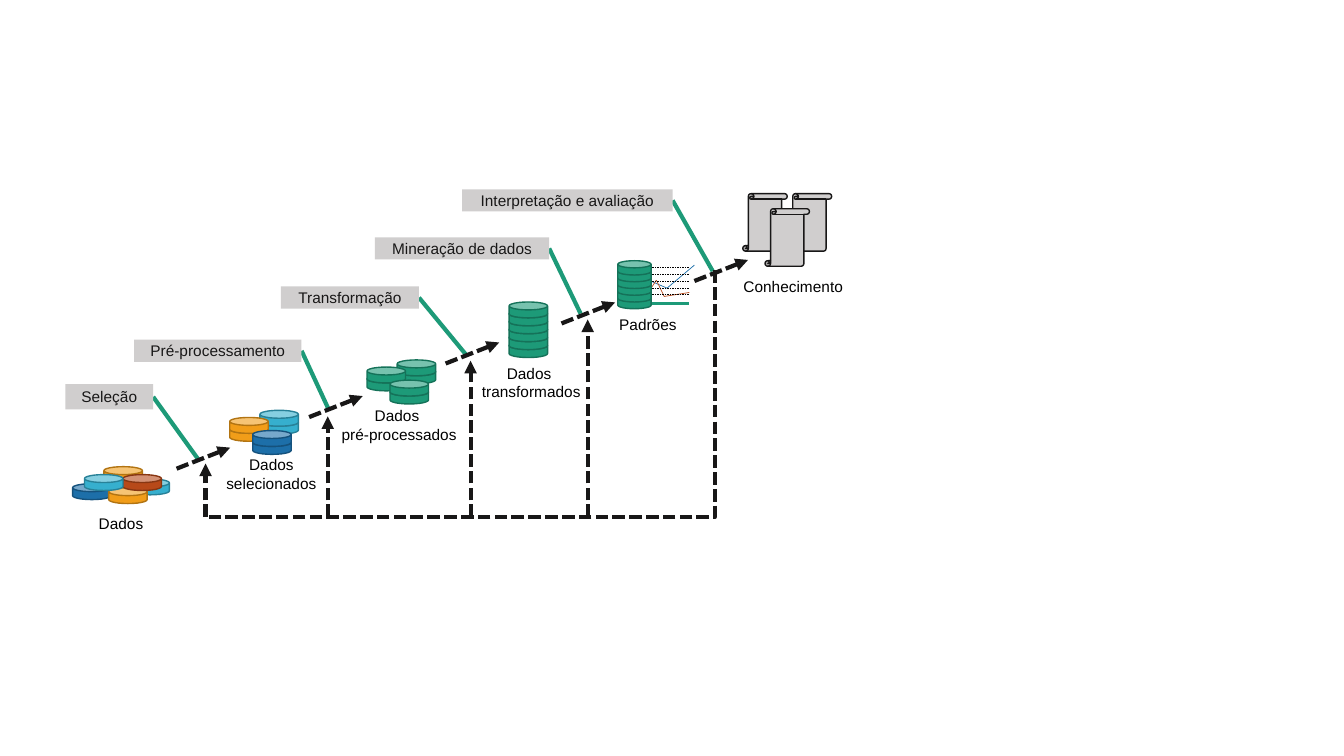
from itertools import pairwise
from typing import NamedTuple

from lxml.etree import SubElement
from pptx import Presentation
from pptx.dml.color import RGBColor
from pptx.enum.dml import MSO_LINE
from pptx.enum.shapes import MSO_CONNECTOR, MSO_SHAPE
from pptx.enum.text import MSO_ANCHOR, PP_ALIGN
from pptx.oxml.ns import qn
from pptx.util import Cm, Pt

INK, GREY, BLACK = "181717", "D0CECE", "000000"
BLUE, CYAN, GOLD, RUST, GREEN = "1D6FA9", "36AFCE", "F19D19", "B74919", "1D9A78"
EDGE = {BLUE: "15527D", CYAN: "288198", GOLD: "B27412", RUST: "873612", GREEN: "157259"}


class Spot(NamedTuple):
    x: float
    y: float


class Stack(NamedTuple):
    x: float
    y: float  # top of the lowest can
    hue: str
    count: int = 1
    w: float = 0.97
    h: float = 0.4
    step: float = 0.2


class Label(NamedTuple):
    text: str
    x: float
    y: float
    w: float
    h: float
    tip: Spot


class Caption(NamedTuple):
    lines: tuple[str, ...]
    x: float
    y: float
    w: float
    h: float


prs = Presentation()
prs.slide_width, prs.slide_height = Cm(33.87), Cm(19.05)
slide = prs.slides.add_slide(prs.slide_layouts[6])
shapes = slide.shapes


def color(code: str) -> RGBColor:
    return RGBColor.from_string(code)


def block(kind, x: float, y: float, w: float, h: float, fill: str, edge: str = ""):
    item = shapes.add_shape(kind, Cm(x), Cm(y), Cm(w), Cm(h))
    item.shadow.inherit = False
    item.fill.solid()
    item.fill.fore_color.rgb = color(fill)
    if edge:
        item.line.color.rgb = color(edge)
        item.line.width = Pt(1)
    else:
        item.line.fill.background()
    return item


def link(start: Spot, end: Spot, hue: str, size: float, dash=None,
         head: bool = False, kind=MSO_CONNECTOR.STRAIGHT):
    item = shapes.add_connector(kind, Cm(start.x), Cm(start.y), Cm(end.x), Cm(end.y))
    item.line.color.rgb = color(hue)
    item.line.width = Pt(size)
    if dash:
        item.line.dash_style = dash
    if head:
        SubElement(item.line._get_or_add_ln(), qn("a:tailEnd"), type="triangle")
    SubElement(item._element.spPr, qn("a:effectLst"))
    return item


def flow(start: Spot, end: Spot, head: bool = True, kind=MSO_CONNECTOR.STRAIGHT):
    return link(start, end, INK, 3, MSO_LINE.SQUARE_DOT, head, kind)


def write(frame, lines: tuple[str, ...], hue: str) -> None:
    frame.word_wrap = True
    for i, line in enumerate(lines):
        para = frame.paragraphs[0] if i == 0 else frame.add_paragraph()
        para.alignment = PP_ALIGN.CENTER
        run = para.add_run()
        run.text = line
        run.font.name, run.font.size = "Arial", Pt(11)
        run.font.color.rgb = color(hue)


def pile(stack: Stack) -> None:
    for i in range(stack.count):
        can = block(MSO_SHAPE.CAN, stack.x, stack.y - i * stack.step,
                    stack.w, stack.h, stack.hue, EDGE[stack.hue])
        can.adjustments[0] = 0.5


def trio(x: float, y: float, hues: tuple[str, str, str]) -> None:
    for (dx, dy), hue in zip(((0.76, 0), (0, 0.18), (0.58, 0.51)), hues):
        pile(Stack(x + dx, y + dy, hue, 2))


# Data stores
for raw in (Stack(3.3, 12.07, CYAN), Stack(1.83, 12.19, BLUE), Stack(2.62, 11.76, GOLD),
            Stack(2.74, 12.29, GOLD), Stack(3.1, 11.96, RUST), Stack(2.13, 11.96, CYAN)):
    pile(raw)
trio(5.79, 10.54, (CYAN, GOLD, BLUE))
trio(9.25, 9.27, (GREEN, GREEN, GREEN))
pile(Stack(12.83, 8.61, GREEN, 6))

# Knowledge scrolls
for x, y in ((18.72, 4.88), (19.84, 4.88), (19.28, 5.26)):
    block(MSO_SHAPE.VERTICAL_SCROLL, x, y, 1.12, 1.45, GREY, INK)

# Step labels with leaders
for label in (
    Label("Seleção", 1.65, 9.68, 2.21, 0.64, Spot(5, 11.58)),
    Label("Pré-processamento", 3.38, 8.56, 4.22, 0.56, Spot(8.28, 10.31)),
    Label("Transformação", 7.08, 7.22, 3.48, 0.56, Spot(11.73, 8.92)),
    Label("Interpretação e avaliação", 11.65, 4.77, 5.3, 0.56, Spot(17.96, 6.83)),
    Label("Mineração de dados", 9.45, 5.98, 4.39, 0.56, Spot(14.63, 7.9)),
):
    link(Spot(label.x + label.w, label.y + label.h / 2), label.tip, GREEN, 3)
    box = block(MSO_SHAPE.RECTANGLE, label.x, label.y, label.w, label.h, GREY)
    frame = box.text_frame
    frame.vertical_anchor = MSO_ANCHOR.MIDDLE
    frame.margin_left = frame.margin_right = frame.margin_top = frame.margin_bottom = 0
    write(frame, (label.text,), INK)

# Forward arrows
for x, y in ((4.45, 11.81), (7.79, 10.51), (11.23, 9.16), (14.15, 8.15), (17.5, 7.08)):
    flow(Spot(x, y), Spot(x + 1.35, y - 0.53))

# Feedback loop
BASE = 13.03
loop = flow(Spot(17.96, 6.86), Spot(5.18, BASE), False, MSO_CONNECTOR.ELBOW)
guides = loop._element.spPr.find(qn("a:prstGeom")).get_or_add_avLst()
SubElement(guides, qn("a:gd"), name="adj1", fmla="val -400")
for x, top in ((5.18, 11.68), (8.26, 10.49), (11.86, 9.09), (14.81, 8.05)):
    flow(Spot(x, BASE), Spot(x, top))

# Store captions
for note in (
    Caption(("Dados",), 1.83, 12.83, 2.44, 0.74),
    Caption(("Dados selecionados",), 5.28, 11.35, 3.12, 1.19),
    Caption(("Dados ", "pré-processados"), 8.23, 10.11, 3.66, 1.19),
    Caption(("Dados ", "transformados"), 11.56, 9.04, 3.66, 1.19),
    Caption(("Padrões",), 14.5, 7.82, 3.66, 0.74),
    Caption(("Conhecimento",), 18.16, 6.86, 3.66, 0.74),
):
    area = shapes.add_textbox(Cm(note.x), Cm(note.y), Cm(note.w), Cm(note.h))
    write(area.text_frame, note.lines, BLACK)

# Pattern sketch: base, trends, grid, then its cans
LEFT, RIGHT = 15.75, 17.37
link(Spot(LEFT, 7.64), Spot(RIGHT, 7.64), GREEN, 2.25)
trends = {
    BLUE: (Spot(LEFT, 7.52), Spot(16.23, 7.01), Spot(16.81, 7.26), Spot(17.5, 6.68)),
    RUST: (Spot(LEFT, 7.01), Spot(16.41, 7.26), Spot(16.54, 7.06),
           Spot(16.74, 7.47), Spot(RIGHT, 7.37)),
}
for hue, spots in trends.items():
    for start, end in pairwise(spots):
        link(start, end, hue, 0.5)
for i in range(5):
    y = 6.74 + i * 0.17
    link(Spot(LEFT, y), Spot(RIGHT, y), BLACK, 0.25, MSO_LINE.DASH)
pile(Stack(15.57, 7.42, GREEN, 6, 0.84, 0.36, 0.17))

prs.save("out.pptx")
